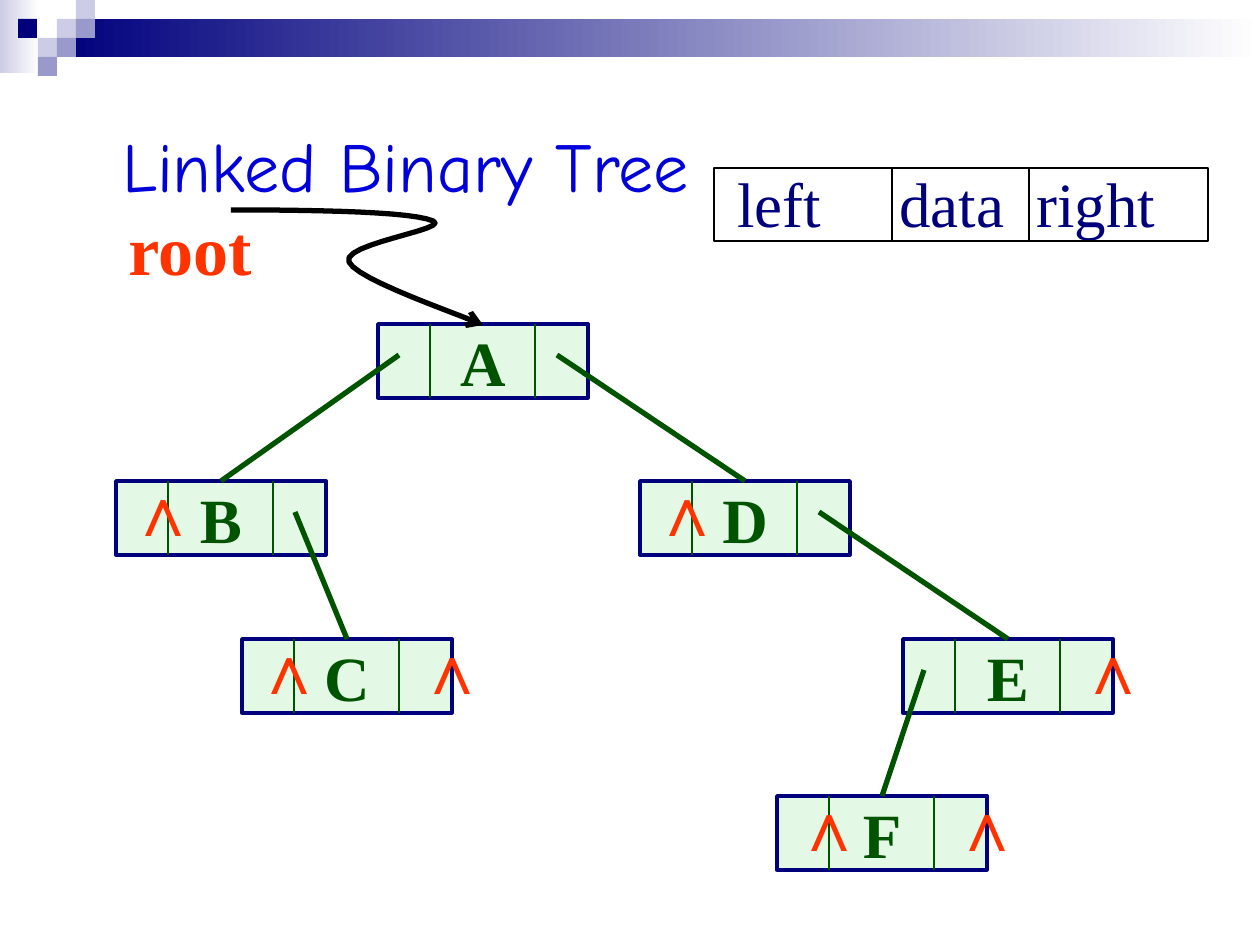
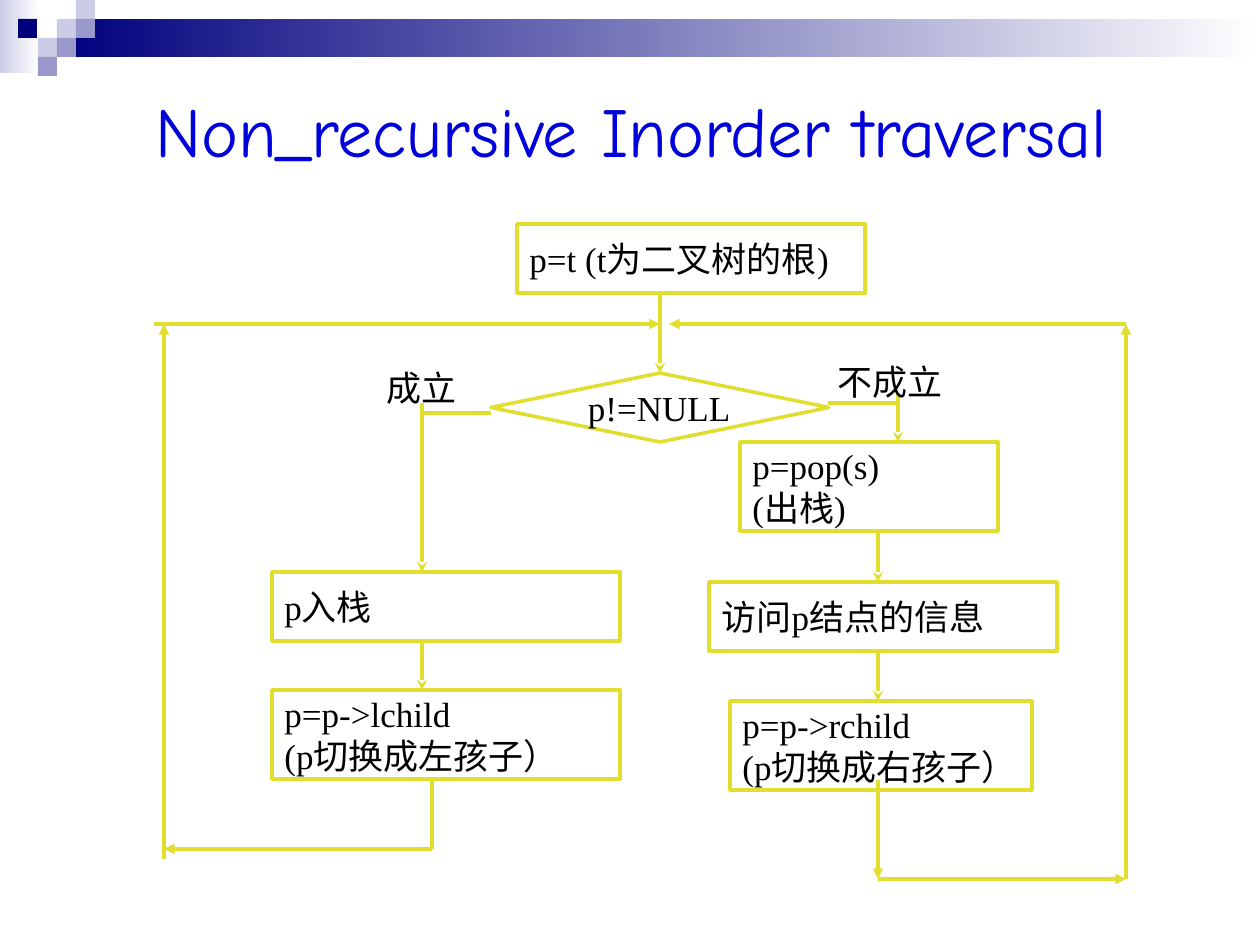
from dataclasses import dataclass

from lxml.etree import SubElement
from pptx import Presentation
from pptx.dml.color import RGBColor
from pptx.enum.shapes import MSO_CONNECTOR, MSO_SHAPE
from pptx.enum.text import MSO_ANCHOR, MSO_AUTO_SIZE, PP_ALIGN
from pptx.oxml.ns import qn
from pptx.util import Emu, Pt

PX_PER_INCH = 126


def px(length):
    return Emu(round(length * 914400 / PX_PER_INCH))


@dataclass(frozen=True)
class Theme:
    # Colours
    navy: str = "00007D"
    lilac: str = "CCCCE6"
    violet: str = "9999CC"
    white: str = "FFFFFF"
    black: str = "000000"
    title: str = "0000DA"
    mint: str = "CAF2CE"
    green: str = "005400"
    red: str = "FF3300"
    yellow: str = "E2DE30"
    # Fonts and sizes
    title_font: str = "Comic Neue"
    body_font: str = "Times New Roman"
    mark_font: str = "Arial"
    large: int = 40
    medium: int = 36
    small: int = 20


class SlideBuilder:
    def __init__(self, deck, theme):
        self.deck = deck
        self.theme = theme
        self.page = None

    def new_page(self):
        self.page = self.deck.slides.add_slide(self.deck.slide_layouts[6])
        self.header_band()

    def header_band(self):
        theme = self.theme
        self.gradient((0, 0, 39, 73), theme.lilac)
        self.gradient((57, 19, 1203, 38), theme.navy)
        for left, top, color in ((57, 19, theme.lilac), (76, 0, theme.lilac),
                                 (76, 19, theme.violet), (38, 38, theme.lilac),
                                 (18, 19, theme.navy), (57, 38, theme.violet),
                                 (38, 57, theme.violet)):
            self.shape((left, top, 19, 19), fill=color)

    def gradient(self, bounds, start):
        band = self.shape(bounds)
        band.fill.gradient()
        band.fill.gradient_angle = 0
        for stop, color in zip(band.fill.gradient_stops, (start, self.theme.white)):
            stop.color.rgb = RGBColor.from_string(color)

    def shape(self, bounds, fill=None, line=None, width=2, kind=MSO_SHAPE.RECTANGLE):
        shape = self.page.shapes.add_shape(kind, *map(px, bounds))
        shape.shadow.inherit = False
        if fill:
            shape.fill.solid()
            shape.fill.fore_color.rgb = RGBColor.from_string(fill)
        else:
            shape.fill.background()
        if line:
            self.stroke(shape, line, width)
        else:
            shape.line.fill.background()
        return shape

    def stroke(self, shape, color, width, arrow=None):
        shape.line.color.rgb = RGBColor.from_string(color)
        shape.line.width = Pt(width)
        if arrow:
            outline = shape._element.spPr.find(qn("a:ln"))
            SubElement(outline, qn("a:tailEnd"), type=arrow)

    def line(self, start, end, color, width, arrow=None):
        connector = self.page.shapes.add_connector(
            MSO_CONNECTOR.STRAIGHT, *map(px, (*start, *end)))
        self.stroke(connector, color, width, arrow)
        SubElement(connector._element.spPr, qn("a:effectLst"))

    def curve(self, start, segments, color, width, arrow, steps=12):
        """Trace cubic segments, each given as two controls and an end."""
        points = []
        origin = start
        for segment in segments:
            corners = (origin, *segment)
            for step in range(1, steps + 1):
                t = step / steps
                weights = ((1 - t) ** 3, 3 * t * (1 - t) ** 2, 3 * t * t * (1 - t), t ** 3)
                points.append(tuple(
                    px(sum(weight * corner[axis] for weight, corner in zip(weights, corners)))
                    for axis in (0, 1)))
            origin = segment[-1]
        builder = self.page.shapes.build_freeform(*map(px, start))
        builder.add_line_segments(points, close=False)
        trace = builder.convert_to_shape()
        trace.shadow.inherit = False
        trace.fill.background()
        self.stroke(trace, color, width, arrow)

    def put_text(self, shape, text, size, color, font=None, bold=False,
                 align=PP_ALIGN.LEFT, anchor=MSO_ANCHOR.MIDDLE, wrap=False):
        frame = shape.text_frame
        frame.text = text
        frame.word_wrap = wrap
        frame.vertical_anchor = anchor
        for para in frame.paragraphs:
            para.alignment = align
            for span in para.runs:
                span.font.size = Pt(size)
                span.font.name = font or self.theme.body_font
                span.font.bold = bold
                span.font.color.rgb = RGBColor.from_string(color)

    def label(self, bounds, text, size, color, **style):
        box = self.page.shapes.add_textbox(*map(px, bounds))
        self.put_text(box, text, size, color, **{"anchor": MSO_ANCHOR.TOP, **style})
        if not style.get("wrap"):
            box.text_frame.auto_size = MSO_AUTO_SIZE.SHAPE_TO_FIT_TEXT
        return box

    def title(self, bounds, text, **style):
        self.label(bounds, text, self.theme.large, self.theme.title,
                   font=self.theme.title_font, align=PP_ALIGN.CENTER, **style)

    def tree_node(self, left, top, letter):
        theme = self.theme
        node = self.shape((left, top, NODE_WIDTH, NODE_HEIGHT), theme.mint, theme.navy)
        tint = node._element.spPr.find(qn("a:solidFill"))[0]
        SubElement(tint, qn("a:alpha"), val="50000")
        self.put_text(node, letter, theme.medium, theme.green, bold=True,
                      align=PP_ALIGN.CENTER)
        for divider in (left + NODE_WIDTH // 4, left + NODE_WIDTH * 3 // 4):
            self.line((divider, top), (divider, top + NODE_HEIGHT), theme.green, 1)

    def flow_box(self, bounds, text, kind=MSO_SHAPE.RECTANGLE):
        box = self.shape(bounds, line=self.theme.yellow, kind=kind)
        self.put_text(box, text, self.theme.small, self.theme.black)

    def flow_line(self, start, end, arrow=None):
        self.line(start, end, self.theme.yellow, 2, arrow)


# Tree layout
NODE_WIDTH, NODE_HEIGHT = 210, 74
LEVEL_TOPS = (324, 481, 639, 796)
NODES = {"A": (378, 0), "D": (640, 1), "E": (903, 2),
         "B": (116, 1), "C": (242, 2), "F": (777, 3)}
LEFT_LINK, RIGHT_LINK, LINK_DROP = 21, 179, 31
EDGES = (("A", LEFT_LINK, "B"), ("A", RIGHT_LINK, "D"), ("B", RIGHT_LINK, "C"),
         ("D", RIGHT_LINK, "E"), ("E", LEFT_LINK, "F"))
NULL_MARKS = (("F", 5), ("F", 163), ("E", 163), ("D", 0), ("C", 0), ("C", 163), ("B", 0))


def linked_tree(builder):
    theme = builder.theme
    builder.new_page()
    builder.title((108, 116, 595, 97), "Linked Binary Tree")

    # Nodes, null marks and links
    corners = {letter: (left, LEVEL_TOPS[level]) for letter, (left, level) in NODES.items()}
    for letter, corner in corners.items():
        builder.tree_node(*corner, letter)
    for letter, offset in NULL_MARKS:
        left, top = corners[letter]
        builder.label((left + offset, top - 21, 48, 97), "∧", theme.large, theme.red,
                      font=theme.mark_font, bold=True)
    for parent, offset, child in EDGES:
        left, top = corners[parent]
        child_left, child_top = corners[child]
        builder.line((left + offset, top + LINK_DROP),
                     (child_left + NODE_WIDTH // 2, child_top), theme.green, 3)

    # Root pointer
    builder.curve((231, 210), (((323, 210), (413, 212), (433, 221)),
                               ((452, 229), (340, 244), (349, 262)),
                               ((357, 280), (461, 315), (483, 325))),
                  theme.black, 3, "arrow")

    # Node record legend
    legend = builder.label((725, 158, 444, 88), "left\tdata\tright", theme.medium, theme.navy)
    properties = legend.text_frame.paragraphs[0]._p.get_or_add_pPr()
    tabs = SubElement(properties, qn("a:tabLst"))
    for stop in (162, 299):
        SubElement(tabs, qn("a:tab"), pos=str(px(stop)), algn="l")
    builder.shape((714, 168, 494, 73), line=theme.black, width=1)
    for divider in (892, 1029):
        builder.line((divider, 168), (divider, 241), theme.black, 1)
    builder.label((116, 199, 149, 97), "root", theme.large, theme.red, bold=True)


def inorder_flow(builder):
    theme = builder.theme
    builder.new_page()

    # Steps
    for bounds, text in (
            ((517, 224, 348, 69), "p=t (t为二叉树的根)"),
            ((272, 572, 348, 69), "p入栈"),
            ((272, 690, 348, 89), "p=p->lchild\n(p切换成左孩子）"),
            ((740, 442, 258, 89), "p=pop(s)\n(出栈)"),
            ((709, 582, 348, 69), "访问p结点的信息"),
            ((730, 701, 302, 89), "p=p->rchild\n(p切换成右孩子）")):
        builder.flow_box(bounds, text)
    builder.flow_box((491, 373, 338, 69), "p!=NULL", MSO_SHAPE.FLOWCHART_DECISION)

    # Downward arrows between steps
    for x, top, bottom in ((660, 293, 373), (422, 403, 572), (422, 641, 690),
                           (898, 393, 442), (878, 532, 582), (878, 651, 701)):
        builder.flow_line((x, top), (x, bottom), "stealth")

    # Plain branches
    for start, end in (((491, 413), (422, 413)), ((432, 780), (432, 849)),
                       ((898, 403), (828, 403))):
        builder.flow_line(start, end)

    # Loops back to the test
    for start, end in (((432, 849), (164, 849)), ((164, 859), (164, 324)),
                       ((154, 324), (660, 324)), ((878, 780), (878, 879)),
                       ((878, 879), (1126, 879)), ((1126, 879), (1126, 324)),
                       ((1126, 324), (669, 324))):
        builder.flow_line(start, end, "triangle")

    # Branch labels
    for bounds, text in (((374, 360, 95, 55), "成立"), ((825, 354, 130, 55), "不成立")):
        builder.label(bounds, text, theme.small, theme.black)
    builder.title((64, 35, 1134, 189), "Non_recursive Inorder traversal",
                  anchor=MSO_ANCHOR.MIDDLE, wrap=True)


def main():
    deck = Presentation()
    deck.slide_width, deck.slide_height = px(1260), px(945)
    builder = SlideBuilder(deck, Theme())
    linked_tree(builder)
    inorder_flow(builder)
    deck.save("out.pptx")


if __name__ == "__main__":
    main()
